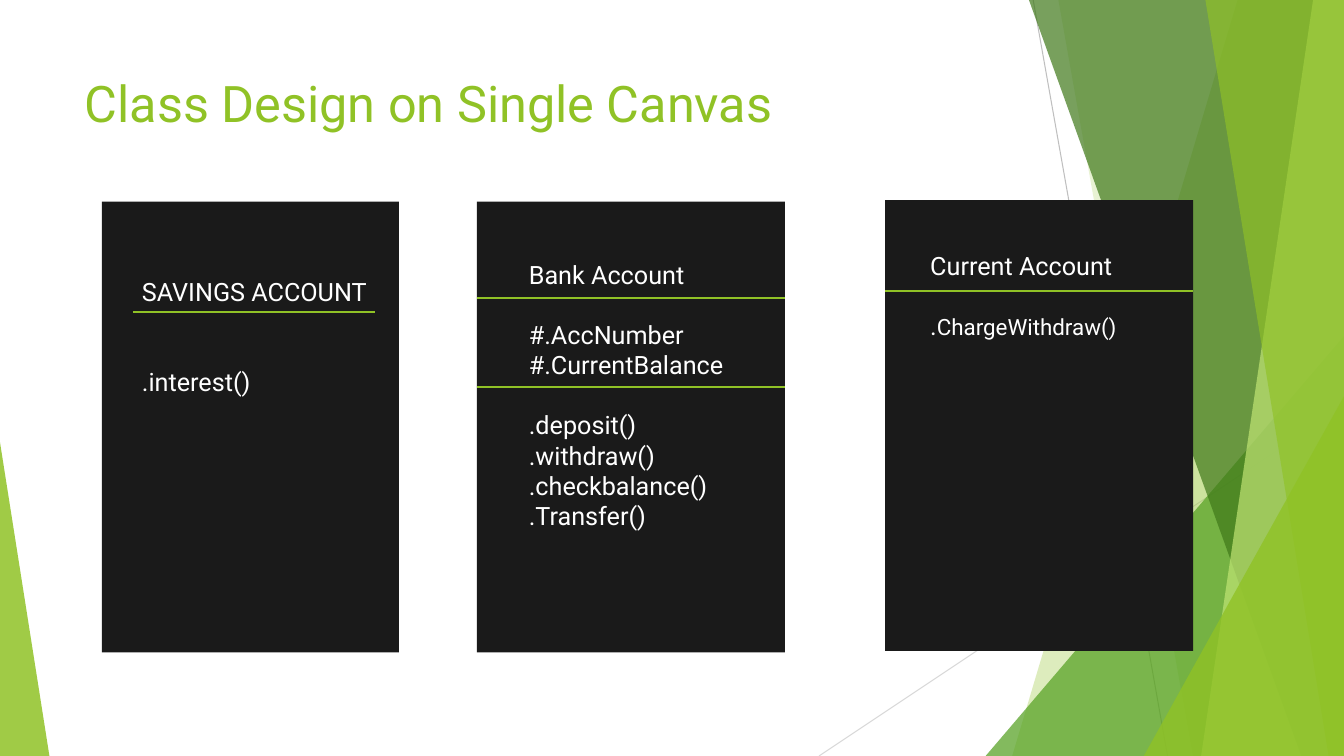
from lxml import etree
from pptx import Presentation
from pptx.dml.color import RGBColor
from pptx.enum.shapes import MSO_CONNECTOR, MSO_SHAPE
from pptx.enum.text import MSO_ANCHOR, PP_ALIGN
from pptx.oxml.ns import qn
from pptx.util import Pt

COLORS = {"lime": "90C226", "leaf": "54A021", "forest": "3F7819", "pale": "C0E474",
          "panel": "1A1A1A", "text": "FFFFFF", "grey": "BFBFBF", "light_grey": "D9D9D9"}
FONT = "Roboto"
WIDTH, HEIGHT = 960, 540
LINE_HEIGHT = 21.3  # one line of 18 pt text


def paint(shape, color, opacity=100):
    """Flat fill, without outline or shadow."""
    shape.shadow.inherit = False
    shape.line.fill.background()
    shape.fill.solid()
    shape.fill.fore_color.rgb = RGBColor.from_string(COLORS[color])
    if opacity < 100:
        tint = shape.fill._xPr.find(qn("a:solidFill"))[0]
        etree.SubElement(tint, qn("a:alpha")).set("val", str(opacity * 1000))


def add_preset(page, kind, box, color, opacity=100, apex=None):
    shape = page.shapes.add_shape(kind, *[Pt(length) for length in box])
    if apex is not None:
        shape.adjustments[0] = apex
    paint(shape, color, opacity)


def add_line(page, start, end, color, weight):
    line = page.shapes.add_connector(
        MSO_CONNECTOR.STRAIGHT, *[Pt(length) for length in (*start, *end)])
    line.line.color.rgb = RGBColor.from_string(COLORS[color])
    line.line.width = Pt(weight)
    etree.SubElement(line._element.spPr, qn("a:effectLst"))


def add_span(paragraph, text, size=18, color="text"):
    span = paragraph.add_run()
    span.text = text
    span.font.name = FONT
    span.font.size = Pt(size)
    span.font.color.rgb = RGBColor.from_string(COLORS[color])


def add_title(page, box, text):
    title = page.shapes.title
    title.left, title.top, title.width, title.height = [Pt(length) for length in box]
    frame = title.text_frame
    frame.word_wrap = True
    frame.vertical_anchor = MSO_ANCHOR.TOP
    frame.paragraphs[0].alignment = PP_ALIGN.LEFT
    add_span(frame.paragraphs[0], text, size=36, color="lime")


def add_facets(page, box):
    """Translucent facets along the right edge and a wedge at the left."""
    left, top, width, height = box
    right, bottom = left + width, top + height

    def facet(top_x, bottom_x, color, opacity):
        points = [(top_x, top), (right, top), (right, bottom), (bottom_x, bottom)]
        points = [(Pt(x), Pt(y)) for x, y in points]
        builder = page.shapes.build_freeform(*points[0])
        builder.add_line_segments(points[1:], close=True)
        paint(builder.convert_to_shape(), color, opacity)

    def corner(x, wide, high, color, opacity, apex):
        add_preset(page, MSO_SHAPE.ISOSCELES_TRIANGLE,
                   (x, bottom - high, wide, high), color, opacity, apex)

    add_line(page, (left + 738, top), (left + 834, bottom), "grey", 0.75)
    add_line(page, (right, top + 290), (left + 585, bottom), "light_grey", 0.75)
    facet(left + 884, left + 723, "lime", 30)
    facet(left + 756, left + 852, "lime", 20)
    corner(right - 256, 256, 300, "leaf", 72, 1)
    facet(left + 735, left + 929.5, "forest", 70)
    facet(left + 938, left + 858, "pale", 70)
    facet(left + 861, left + 949, "lime", 65)
    corner(right - 143, 143, 257, "lime", 80, 1)
    corner(left, 35.3, 224, "lime", 85, 0)


def add_class_text(page, box, groups, gap):
    """Groups of lines, each set apart by a gap; a line is a list of (text, size)."""
    frame = page.shapes.add_textbox(*[Pt(length) for length in box]).text_frame
    frame.word_wrap = True
    for group_index, group in enumerate(groups):
        for line_index, spans in enumerate(group):
            first = group_index == line_index == 0
            paragraph = frame.paragraphs[0] if first else frame.add_paragraph()
            if group_index and not line_index:
                paragraph.space_before = Pt(gap)
            for text, size in spans:
                add_span(paragraph, text, size)


def add_class_panel(page, box, inset, text_size, groups, rules, gap=LINE_HEIGHT, rule_span=None):
    left, top, width, height = box
    add_preset(page, MSO_SHAPE.RECTANGLE, box, "panel")
    add_class_text(page, (left + inset[0], top + inset[1], *text_size), groups, gap)
    start, end = rule_span or (0, width)
    for drop in rules:
        add_line(page, (left + start, top + drop), (left + end, top + drop), "lime", 1)


def plain(*lines):
    return [[(line, 18)] for line in lines]


deck = Presentation()
deck.slide_width, deck.slide_height = Pt(WIDTH), Pt(HEIGHT)
page = deck.slides.add_slide(deck.slide_layouts[5])

# Background and title
add_facets(page, (0, 0, WIDTH, HEIGHT))
add_title(page, (53.3, 48, 677, 104), "Class Design on Single Canvas")

# Class panels
add_class_panel(page, (72.8, 144, 212.2, 322), (21.5, 49.7), (175, 94.5),
                [plain("SAVINGS ACCOUNT"), plain(".interest()")],
                rules=[79], gap=2 * LINE_HEIGHT, rule_span=(22.2, 195.2))
add_class_panel(page, (340.7, 144, 220, 322), (30, 37.8), (177, 225.4),
                [plain("Bank Account"),
                 plain("#.AccNumber", "#.CurrentBalance"),
                 plain(".deposit()", ".withdraw()", ".checkbalance()", ".Transfer()")],
                rules=[69, 132.5])
add_class_panel(page, (632.2, 143, 220, 322), (25.2, 32.4), (164, 72.7),
                [plain("Current Account"), [[(".", 18), ("ChargeWithdraw()", 16)]]],
                rules=[65])

deck.save("out.pptx")
